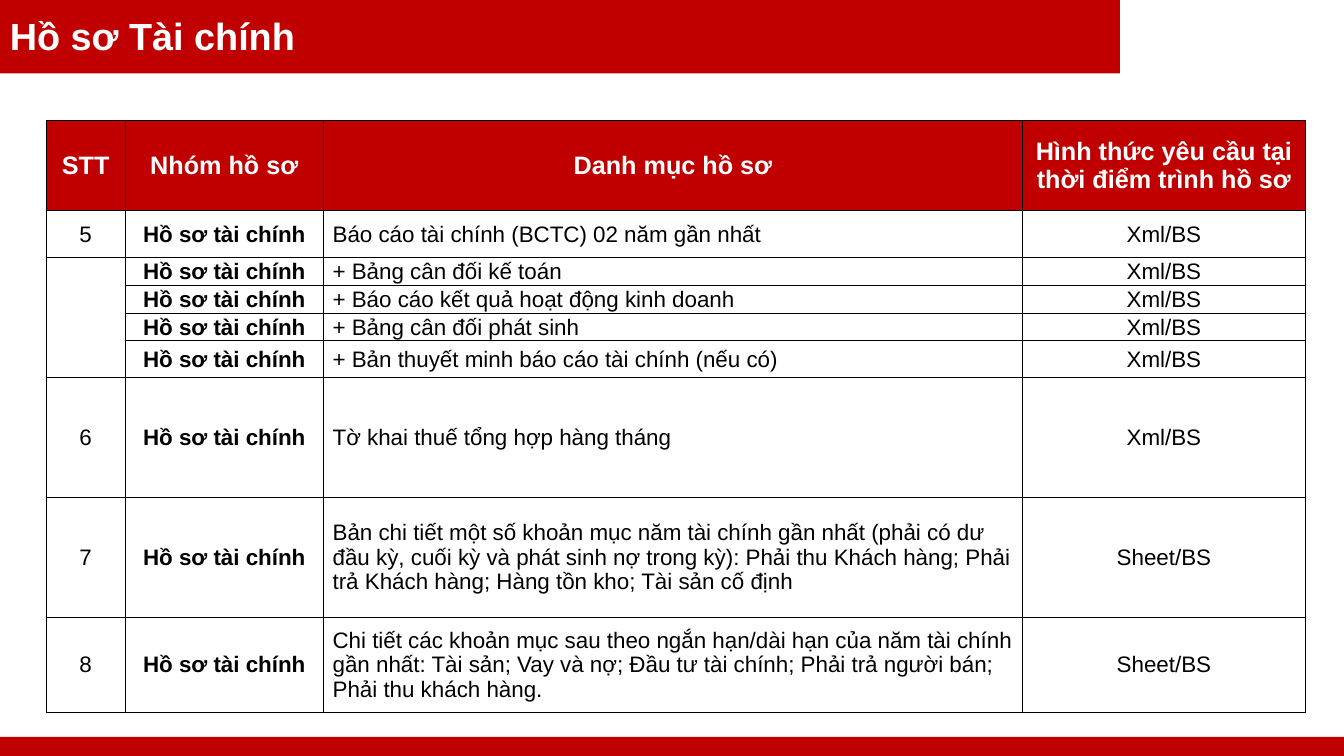
from lxml.etree import SubElement
from pptx import Presentation
from pptx.dml.color import RGBColor
from pptx.enum.shapes import MSO_SHAPE as Shape
from pptx.enum.text import MSO_ANCHOR as Anchor, PP_ALIGN as Align
from pptx.oxml.ns import qn
from pptx.util import Inches, Pt

WIDTH, HEIGHT = 13.33, 7.5
RED, WHITE, BLACK = "C00000", "FFFFFF", "000000"

COLUMNS = [0.78, 1.97, 6.93, 2.81]
ROWS = [0.9, 0.46, 0.24, 0.24, 0.24, 0.36, 1.19, 1.19, 0.95]
GROUP_COLUMN, LIST_COLUMN = 1, 2
GROUP = "Hồ sơ tài chính"
HEADINGS = ["STT", "Nhóm hồ sơ", "Danh mục hồ sơ",
            "Hình thức yêu cầu tại thời điểm trình hồ sơ"]
DOCUMENTS = [
    ("5", "Báo cáo tài chính (BCTC) 02 năm gần nhất", "Xml/BS"),
    ("", "+ Bảng cân đối kế toán", "Xml/BS"),
    ("", "+ Báo cáo kết quả hoạt động kinh doanh", "Xml/BS"),
    ("", "+ Bảng cân đối phát sinh", "Xml/BS"),
    ("", "+ Bản thuyết minh báo cáo tài chính (nếu có)", "Xml/BS"),
    ("6", "Tờ khai thuế tổng hợp hàng tháng", "Xml/BS"),
    ("7", "Bản chi tiết một số khoản mục năm tài chính gần nhất (phải có dư "
          "đầu kỳ, cuối kỳ và phát sinh nợ trong kỳ): Phải thu Khách hàng; "
          "Phải trả Khách hàng; Hàng tồn kho; Tài sản cố định", "Sheet/BS"),
    ("8", "Chi tiết các khoản mục sau theo ngắn hạn/dài hạn của năm tài chính "
          "gần nhất: Tài sản; Vay và nợ; Đầu tư tài chính; Phải trả người bán; "
          "Phải thu khách hàng.", "Sheet/BS"),
]
HEADING_STYLE = {"size": Pt(18), "bold": True, "color": WHITE}
GROUP_STYLE = {"size": Pt(16), "bold": True, "color": BLACK}
BODY_STYLE = {**GROUP_STYLE, "bold": False}


def rgb(color):
    return RGBColor.from_string(color)


def paint(fill, color):
    fill.solid()
    fill.fore_color.rgb = rgb(color)


def write(paragraph, text, color, **font_format):
    run = paragraph.add_run()
    run.text = text
    run.font.name = "Arial"
    run.font.color.rgb = rgb(color)
    for attribute, value in font_format.items():
        setattr(run.font, attribute, value)


def add_bar(slide, top, width, height):
    bar = slide.shapes.add_shape(
        Shape.RECTANGLE, 0, Inches(top), Inches(width), Inches(height))
    bar.shadow.inherit = False
    paint(bar.fill, RED)
    bar.line.fill.background()


def add_title(slide, text):
    frame = slide.shapes.add_textbox(0, 0, Inches(10.57), Inches(0.76)).text_frame
    frame.word_wrap = True
    frame.vertical_anchor = Anchor.MIDDLE
    paragraph = frame.paragraphs[0]
    paragraph.line_spacing = 0.9
    write(paragraph, text, WHITE, size=Pt(27), bold=True)


def add_borders(cell):
    properties = cell._tc.get_or_add_tcPr()
    for side in ("a:lnL", "a:lnR", "a:lnT", "a:lnB"):
        line = SubElement(properties, qn(side), w=str(Pt(0.5)))
        fill = SubElement(line, qn("a:solidFill"))
        SubElement(fill, qn("a:srgbClr"), val=BLACK)


def fill_cell(cell, text, style, background, is_list):
    add_borders(cell)
    paint(cell.fill, background)
    layout = {
        "vertical_anchor": Anchor.MIDDLE,
        "margin_left": Inches(0.09 if is_list else 0.01),
        "margin_right": Inches(0.01),
        "margin_top": Inches(0.01),
        "margin_bottom": 0,
    }
    for attribute, value in layout.items():
        setattr(cell, attribute, value)
    paragraph = cell.text_frame.paragraphs[0]
    paragraph.alignment = Align.LEFT if is_list else Align.CENTER
    write(paragraph, text, **style)


def add_document_table(slide):
    table = slide.shapes.add_table(
        len(ROWS), len(COLUMNS), Inches(0.46), Inches(1.19),
        Inches(sum(COLUMNS)), Inches(sum(ROWS))).table
    for column, width in zip(table.columns, COLUMNS):
        column.width = Inches(width)
    for row, height in zip(table.rows, ROWS):
        row.height = Inches(height)

    for c, heading in enumerate(HEADINGS):
        fill_cell(table.cell(0, c), heading, HEADING_STYLE, RED, False)
    for r, (number, document, form) in enumerate(DOCUMENTS, start=1):
        for c, text in enumerate((number, GROUP, document, form)):
            style = GROUP_STYLE if c == GROUP_COLUMN else BODY_STYLE
            fill_cell(table.cell(r, c), text, style, WHITE, c == LIST_COLUMN)

    unnumbered = [r for r, row in enumerate(DOCUMENTS, start=1) if not row[0]]
    table.cell(unnumbered[0], 0).merge(table.cell(unnumbered[-1], 0))


def main():
    deck = Presentation()
    deck.slide_width, deck.slide_height = Inches(WIDTH), Inches(HEIGHT)
    slide = deck.slides.add_slide(deck.slide_layouts[6])
    footer = 0.19
    add_bar(slide, 0, WIDTH * 5 / 6, 0.73)
    add_bar(slide, HEIGHT - footer, WIDTH, footer)
    add_title(slide, "Hồ sơ Tài chính")
    add_document_table(slide)
    deck.save("out.pptx")


if __name__ == "__main__":
    main()
